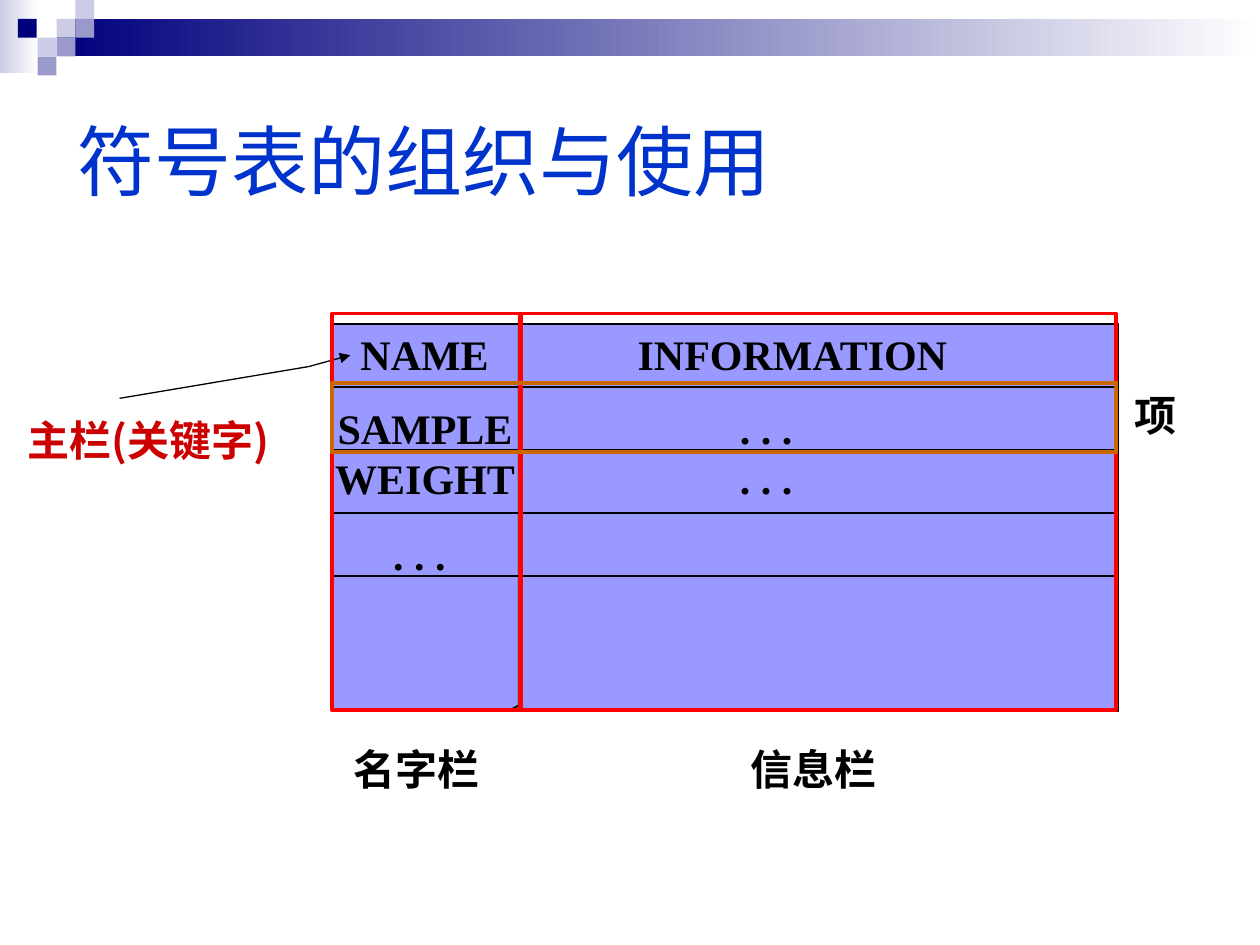
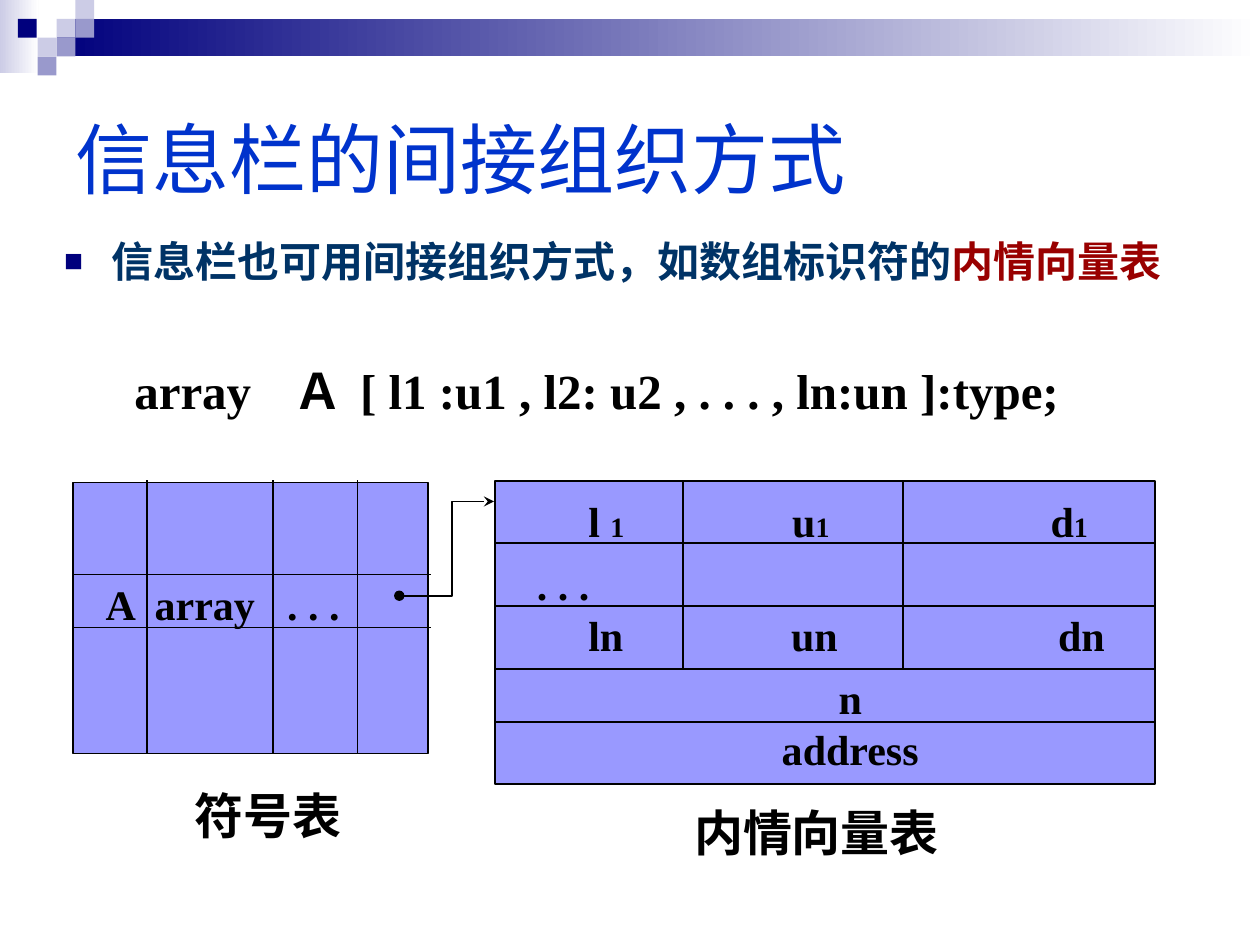
"""Build two slides on how a symbol table is organised."""
import pptx
import pptx.dml.color
import pptx.enum.shapes
import pptx.enum.text
import pptx.oxml.ns
import pptx.util
from lxml import etree

Cm = pptx.util.Cm
Pt = pptx.util.Pt
qn = pptx.oxml.ns.qn
Shape = pptx.enum.shapes.MSO_SHAPE
Align = pptx.enum.text.PP_ALIGN


class Theme:
    black, white, blue = "000000", "FFFFFF", "0033CC"
    navy, mid, pale = "00007D", "9999CC", "CCCCE6"
    cell, red, orange = "9999FF", "FF0000", "CC6600"
    key, ink, accent = "CC0000", "003366", "990000"
    sans, serif, han = "Arial", "Times New Roman", "Noto Sans CJK SC"
    title, large, text, small = 44, 28, 24, 16
    thin, rule, frame = 0.75, 1, 2.25


def rgb(code):
    return pptx.dml.color.RGBColor.from_string(code)


def style(para, size, color, face, bold=True):
    font = para.font
    font.size, font.name, font.bold = Pt(size), face, bold
    font.color.rgb = rgb(color)


def stroke(item, color, width, head=None, tail=None):
    item.line.color.rgb = rgb(color)
    item.line.width = Pt(width)
    line = item.element.spPr.find(qn("a:ln"))
    for tag, kind in (("a:headEnd", head), ("a:tailEnd", tail)):
        if kind:
            etree.SubElement(line, qn(tag), type=kind)


def rect(slide, box, fill=None, edge=None, width=Theme.rule):
    item = slide.shapes.add_shape(Shape.RECTANGLE, *map(Cm, box))
    item.shadow.inherit = False
    if isinstance(fill, tuple):
        item.fill.gradient()
        item.fill.gradient_angle = 0
        for stop, color in zip(item.fill.gradient_stops, fill):
            stop.color.rgb = rgb(color)
    elif fill:
        item.fill.solid()
        item.fill.fore_color.rgb = rgb(fill)
    else:
        item.fill.background()
    if edge:
        stroke(item, edge, width)
    else:
        item.line.fill.background()
    return item


def line(slide, start, end, width=Theme.rule, tail=None):
    kind = pptx.enum.shapes.MSO_CONNECTOR.STRAIGHT
    item = slide.shapes.add_connector(kind, *map(Cm, start + end))
    stroke(item, Theme.black, width, tail=tail)
    etree.SubElement(item.element.spPr, qn("a:effectLst"))


def rows(slide, left, right, tops):
    for top in tops:
        line(slide, (left, top), (right, top))


def cols(slide, top, end, lefts):
    for left in lefts:
        line(slide, (left, top), (left, end))


def bent(slide, points, head=None, tail=None):
    first, *rest = [(Cm(x), Cm(y)) for x, y in points]
    pen = slide.shapes.build_freeform(*first)
    pen.add_line_segments(rest, close=False)
    item = pen.convert_to_shape()
    item.shadow.inherit = False
    item.fill.background()
    stroke(item, Theme.black, Theme.rule, head, tail)


def stops(para, places):
    tabs = etree.SubElement(para._p.get_or_add_pPr(), qn("a:tabLst"))
    for place in places:
        etree.SubElement(tabs, qn("a:tab"), pos=str(Cm(place)), algn="l")


def text(slide, box, lines, size=Theme.text, color=Theme.black,
         face=Theme.serif, align=Align.CENTER, tabs=()):
    frame = slide.shapes.add_textbox(*map(Cm, box)).text_frame
    frame.word_wrap = align == Align.LEFT
    for index, parts in enumerate(lines):
        para = frame.add_paragraph() if index else frame.paragraphs[0]
        para.alignment = align
        if tabs:
            stops(para, tabs)
        style(para, size, color, face)
        for part in [parts] if isinstance(parts, str) else parts:
            words, points = (part, None) if isinstance(part, str) else part
            run = para.add_run()
            run.text = words
            if points:
                run.font.size = Pt(points)


def title(slide, words, left, top):
    item = slide.shapes.title
    item.left, item.top, item.width, item.height = map(
        Cm, (left, top, 22.86, 3.81))
    frame = item.text_frame
    frame.text = words
    frame.vertical_anchor = pptx.enum.text.MSO_ANCHOR.MIDDLE
    para = frame.paragraphs[0]
    para.alignment = Align.LEFT
    style(para, Theme.title, Theme.blue, Theme.sans, False)


def point(slide, box, parts):
    item = slide.placeholders[1]
    item.left, item.top, item.width, item.height = map(Cm, box)
    frame = item.text_frame
    frame.auto_size = pptx.enum.text.MSO_AUTO_SIZE.NONE
    para = frame.paragraphs[0]
    para.line_spacing, para.space_before = 1.1, Pt(6)
    props = para._p.get_or_add_pPr()
    props.set("marL", str(Cm(0.95)))
    props.set("indent", str(-Cm(0.95)))
    tint = etree.SubElement(props, qn("a:buClr"))
    etree.SubElement(tint, qn("a:srgbClr"), val=Theme.navy)
    etree.SubElement(props, qn("a:buSzPct"), val="75000")
    etree.SubElement(props, qn("a:buFont"), typeface=Theme.sans)
    etree.SubElement(props, qn("a:buChar"), char="■")
    style(para, Theme.text, Theme.ink, Theme.sans)
    for words, color in parts:
        run = para.add_run()
        run.text = words
        run.font.color.rgb = rgb(color)


def bands(deck, slide):
    unit = 0.38
    items = [rect(slide, (0, 0, 0.78, 1.48), (Theme.pale, Theme.white)),
             rect(slide, (3 * unit, unit, 24.26, 2 * unit),
                  (Theme.navy, Theme.white))]
    for col, row, color in (
            (3, 1, Theme.pale), (4, 0, Theme.pale), (4, 1, Theme.mid),
            (2, 2, Theme.pale), (0.95, 1, Theme.navy),
            (3, 2, Theme.mid), (2, 3, Theme.mid)):
        items.append(rect(
            slide, (col * unit, row * unit, unit, unit), color))
    tree = deck.slide_master.shapes.element
    for index, item in enumerate(items):
        item.element.nvSpPr.cNvPr.set("id", str(50 + index))
        tree.insert(2 + index, item.element)


def table(slide):
    title(slide, "符号表的组织与使用", 1.3, 1.32)
    rect(slide, (6.7, 6.53, 15.85, 7.8), Theme.cell, Theme.black)
    rows(slide, 6.65, 22.53, [7.8 + 1.27 * n for n in range(4)])
    bent(slide, [(10.46, 6.4), (10.46, 14.22), (10.31, 14.3)])
    dots = ". . . "
    for box, lines in (
            ((7.01, 6.5, 3.1, 1.27), ["NAME"]),
            ((12.57, 6.5, 6.81, 1.27), ["INFORMATION"]),
            ((6.5, 7.98, 4.14, 2.29), ["SAMPLE", "WEIGHT"]),
            ((14.66, 7.98, 1.78, 2.29), [dots, dots]),
            ((7.67, 10.52, 1.78, 1.27), [dots])):
        text(slide, box, lines)
    text(slide, (0.3, 8.23, 5.82, 2.29), ["主栏(关键字)"],
         color=Theme.key, face=Theme.han, align=Align.LEFT)
    bend = (6.22, 7.39)
    line(slide, (2.41, 8.03), bend, Theme.thin)
    line(slide, bend, (7.06, 7.16), Theme.thin, "triangle")
    for box, edge in (((6.7, 6.32, 3.81, 8), Theme.red),
                      ((10.49, 6.32, 12.01, 8), Theme.red),
                      ((6.7, 7.72, 15.8, 1.4), Theme.orange)):
        rect(slide, box, edge=edge, width=Theme.frame)
    for left, top, width, words in ((6.7, 14.86, 3.4, "名字栏"),
                                    (14.71, 14.86, 3.4, "信息栏"),
                                    (22.1, 7.72, 2.39, "项")):
        text(slide, (left, top, width, 1.27), [words], face=Theme.sans)


def vector(slide):
    title(slide, "信息栏的间接组织方式", 1.27, 1.27)
    point(slide, (1.04, 4.52, 22.86, 2.21),
          [("信息栏也可用间接组织方式，如数组标识符的", Theme.ink),
           ("内情向量表", Theme.accent)])
    text(slide, (2.46, 7.14, 20.24, 1.45),
         ["array\tＡ\t[ l1 :u1 , l2: u2 , . . . , ln:un ]:type;"],
         Theme.large, align=Align.LEFT, tabs=(3.2, 4.55))
    rect(slide, (1.47, 9.73, 7.16, 5.46), Theme.cell, Theme.black)
    rect(slide, (9.98, 9.7, 13.31, 6.1), Theme.cell, Theme.black)
    rows(slide, 1.5, 8.69, (11.58, 12.65))
    rows(slide, 9.96, 23.29, (10.95, 12.22, 13.49, 14.55))
    cols(slide, 9.68, 15.19, (2.97, 5.51))
    cols(slide, 9.68, 13.49, (13.77, 18.21))
    bent(slide, [(7.21, 9.68), (7.21, 15.19), (7.39, 15.19)])
    bent(slide, [(8.05, 12.01), (9.12, 12.01), (9.12, 10.11),
                 (9.96, 10.11)], "oval", "stealth")
    one = ("1", Theme.small)
    text(slide, (11.61, 9.86, 10.9, 1.27),
         [["l ", one, "\tu", one, "\td", one]],
         align=Align.LEFT, tabs=(4.11, 9.32))
    text(slide, (10.57, 11.13, 1.78, 1.27), [". . . "])
    text(slide, (11.61, 12.17, 11.15, 1.27), ["ln\tun\tdn"],
         align=Align.LEFT, tabs=(4.09, 9.47))
    text(slide, (15.49, 13.44, 3.3, 2.29), ["n", "address"])
    text(slide, (1.88, 11.53, 5.8, 1.27), ["A\tarray\t. . . "],
         align=Align.LEFT, tabs=(0.99, 3.66))
    text(slide, (3.68, 15.72, 3.99, 1.45), ["符号表"],
         Theme.large, align=Align.LEFT)
    text(slide, (13.74, 16.05, 5.44, 1.45), ["内情向量表"], Theme.large)


def main():
    deck = pptx.Presentation()
    deck.slide_width, deck.slide_height = Cm(25.4), Cm(19.05)
    first = deck.slides.add_slide(deck.slide_layouts[5])
    bands(deck, first)
    table(first)
    vector(deck.slides.add_slide(deck.slide_layouts[1]))
    deck.save("out.pptx")


main()
